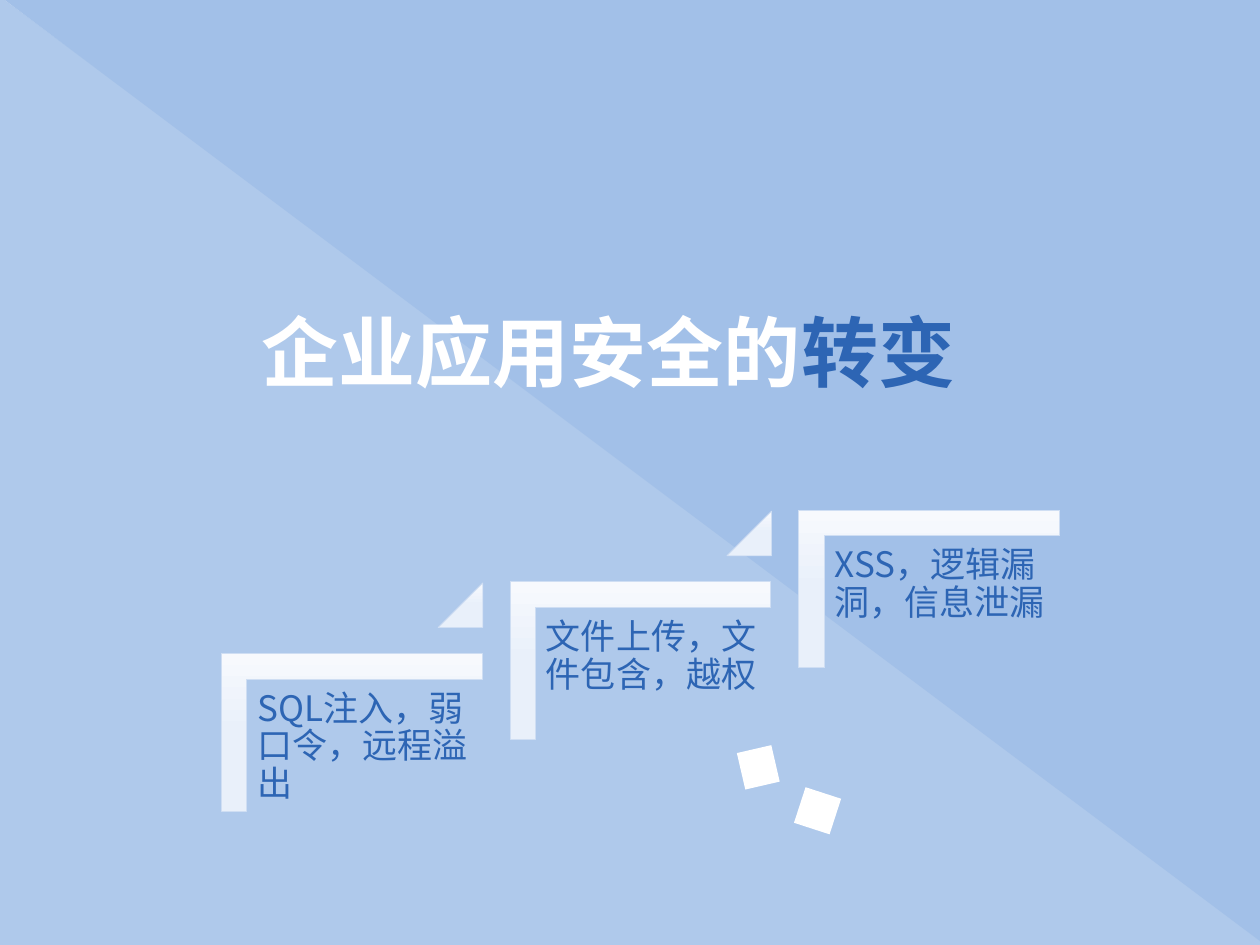
from lxml import etree
from pptx import Presentation
from pptx.dml.color import RGBColor
from pptx.enum.shapes import MSO_SHAPE
from pptx.enum.text import MSO_AUTO_SIZE
from pptx.oxml.ns import qn
from pptx.util import Pt

CORNER = MSO_SHAPE.from_xml("corner")
TRIANGLE = MSO_SHAPE.ISOSCELES_TRIANGLE
RIGHT_TRIANGLE = MSO_SHAPE.RIGHT_TRIANGLE
RECTANGLE = MSO_SHAPE.RECTANGLE
GROW = MSO_AUTO_SIZE.SHAPE_TO_FIT_TEXT

COLORS = {
    "sky": "A2C0E8",
    "white": "FFFFFF",
    "blue": "2D65B4",
    "edge": "CFDEF3",
}
STEP_GRADIENT = [(0, "F7F9FD"), (50, "E9F0FA"), (100, "E6EEFA")]
FONT = "Noto Sans CJK SC"

STEPS = ["SQL注入，弱口令，远程溢出", "文件上传，文件包含，越权", "XSS，逻辑漏洞，信息泄漏"]
STEP_LEFT, STEP_TOP = 126.5, 373.5
STEP_RIGHT, STEP_UP = 165, 41
STEP_WIDTH, STEP_HEIGHT = 149, 90


class SlideBuilder:
    def __init__(self, page):
        self.page = page

    def shape(self, kind, left, top, width, height, color=None, rotation=0, alpha=None):
        shape = self.page.shapes.add_shape(kind, Pt(left), Pt(top), Pt(width), Pt(height))
        shape.shadow.inherit = False
        shape.rotation = rotation
        shape.line.fill.background()
        if color:
            shape.fill.solid()
            shape.fill.fore_color.rgb = RGBColor.from_string(COLORS[color])
        if alpha:
            color_node = shape._element.spPr.find(qn("a:solidFill"))[0]
            etree.SubElement(color_node, qn("a:alpha"), val=str(alpha * 1000))
        return shape

    def step_shape(self, kind, left, top, width, height, adjustments, rotation=0):
        """Add an outlined shape whose gradient runs down the page at any rotation."""
        shape = self.shape(kind, left, top, width, height, rotation=rotation)
        for index, value in enumerate(adjustments):
            shape.adjustments[index] = value
        shape.line.color.rgb = RGBColor.from_string(COLORS["edge"])
        shape.line.width = Pt(0.5)
        shape.fill.gradient()
        gradient = shape._element.spPr.find(qn("a:gradFill"))
        gradient.set("rotWithShape", "0")
        for child in list(gradient):
            gradient.remove(child)
        stops = etree.SubElement(gradient, qn("a:gsLst"))
        for position, color in STEP_GRADIENT:
            stop = etree.SubElement(stops, qn("a:gs"), pos=str(position * 1000))
            etree.SubElement(stop, qn("a:srgbClr"), val=color)
        etree.SubElement(gradient, qn("a:lin"), ang="5400000", scaled="0")

    def text(self, left, top, width, height, spans, size, bold=False, frame=None, para=None):
        """Add one paragraph; spans are (text, color) pairs."""
        box = self.page.shapes.add_textbox(Pt(left), Pt(top), Pt(width), Pt(height))
        text_frame = box.text_frame
        for name, value in {"word_wrap": True, **(frame or {})}.items():
            setattr(text_frame, name, value)
        paragraph = text_frame.paragraphs[0]
        for name, value in (para or {}).items():
            setattr(paragraph, name, value)
        for content, color in spans:
            span = paragraph.add_run()
            span.text = content
            for name, value in {"name": FONT, "size": Pt(size), "bold": bold}.items():
                setattr(span.font, name, value)
            span.font.color.rgb = RGBColor.from_string(COLORS[color])
            etree.SubElement(span._r.get_or_add_rPr(), qn("a:ea"), typeface=FONT)

    def step(self, left, top, label):
        """Add a bracket, given by its corner on the page, and its label."""
        turn = (STEP_WIDTH - STEP_HEIGHT) / 2
        self.step_shape(CORNER, left + turn, top - turn, STEP_HEIGHT, STEP_WIDTH,
                        [0.161, 0.161], rotation=90)
        margins = {f"margin_{side}": Pt(6) for side in ("left", "top", "right", "bottom")}
        self.text(left + 14.5, top + 15.3, 134.6, 118, [(label, "blue")], 20,
                  frame=margins, para={"line_spacing": 0.9, "space_after": Pt(7)})


def main():
    deck = Presentation()
    deck.slide_width, deck.slide_height = Pt(720), Pt(540)
    builder = SlideBuilder(deck.slides.add_slide(deck.slide_layouts[6]))

    builder.shape(RIGHT_TRIANGLE, 0, -2, 728.5, 542, "sky", alpha=85)
    builder.shape(RIGHT_TRIANGLE, 0, -2, 723, 542, "sky", rotation=180)
    builder.shape(RECTANGLE, 422.6, 428.4, 21.4, 20.2, "white", rotation=257)
    builder.shape(RECTANGLE, 456.5, 452.6, 21.4, 21.4, "white", rotation=18)

    builder.text(142.5, 170.6, 448, 60.5, [("企业应用安全的", "white"), ("转变", "blue")],
                 44, bold=True, frame={"auto_size": GROW})

    for index, label in enumerate(STEPS):
        left = STEP_LEFT + index * STEP_RIGHT
        top = STEP_TOP - index * STEP_UP
        builder.step(left, top, label)
        if index < len(STEPS) - 1:
            builder.step_shape(TRIANGLE, left + 124, top - 40.3, 25.4, 25.4, [1])

    deck.save("out.pptx")


if __name__ == "__main__":
    main()
